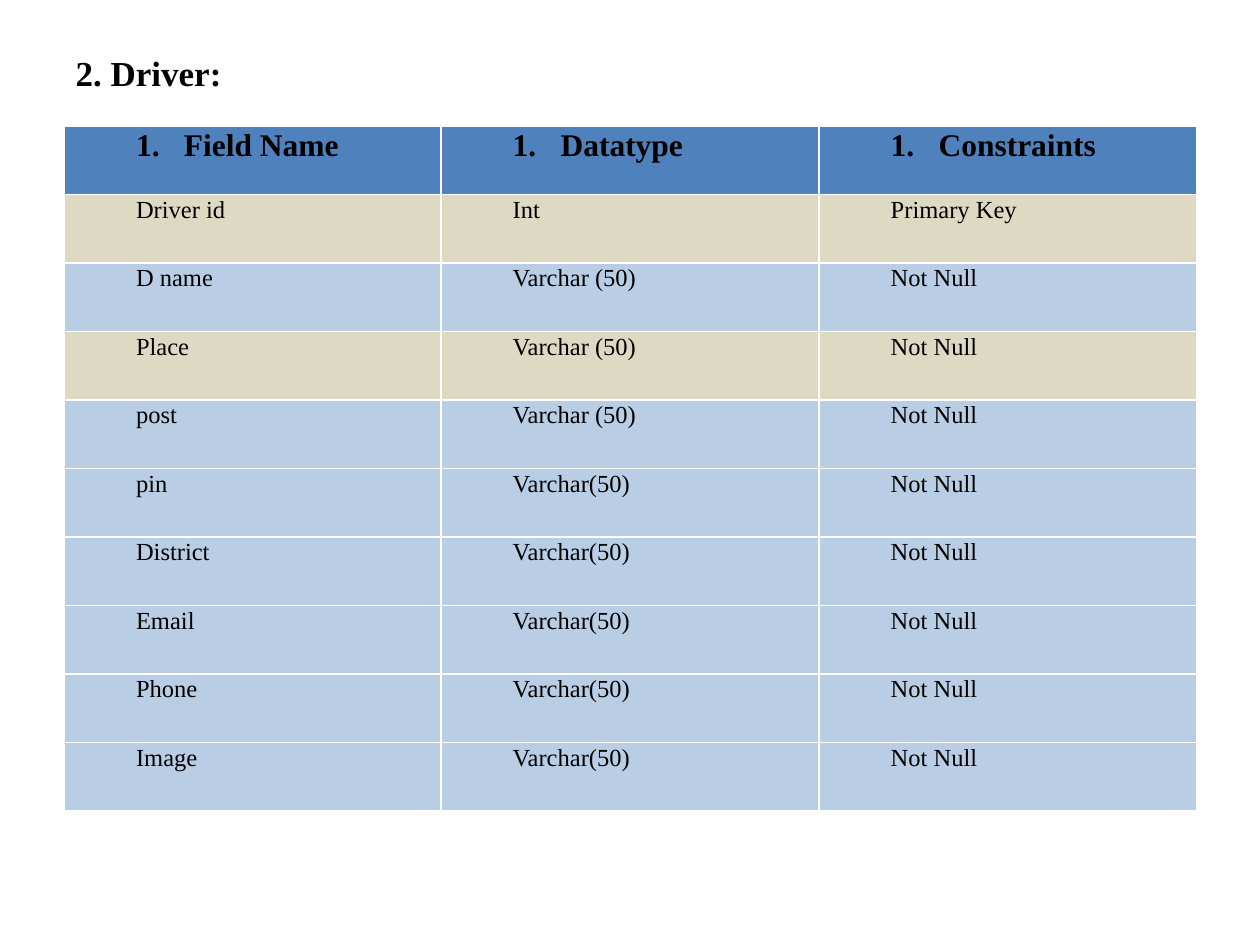
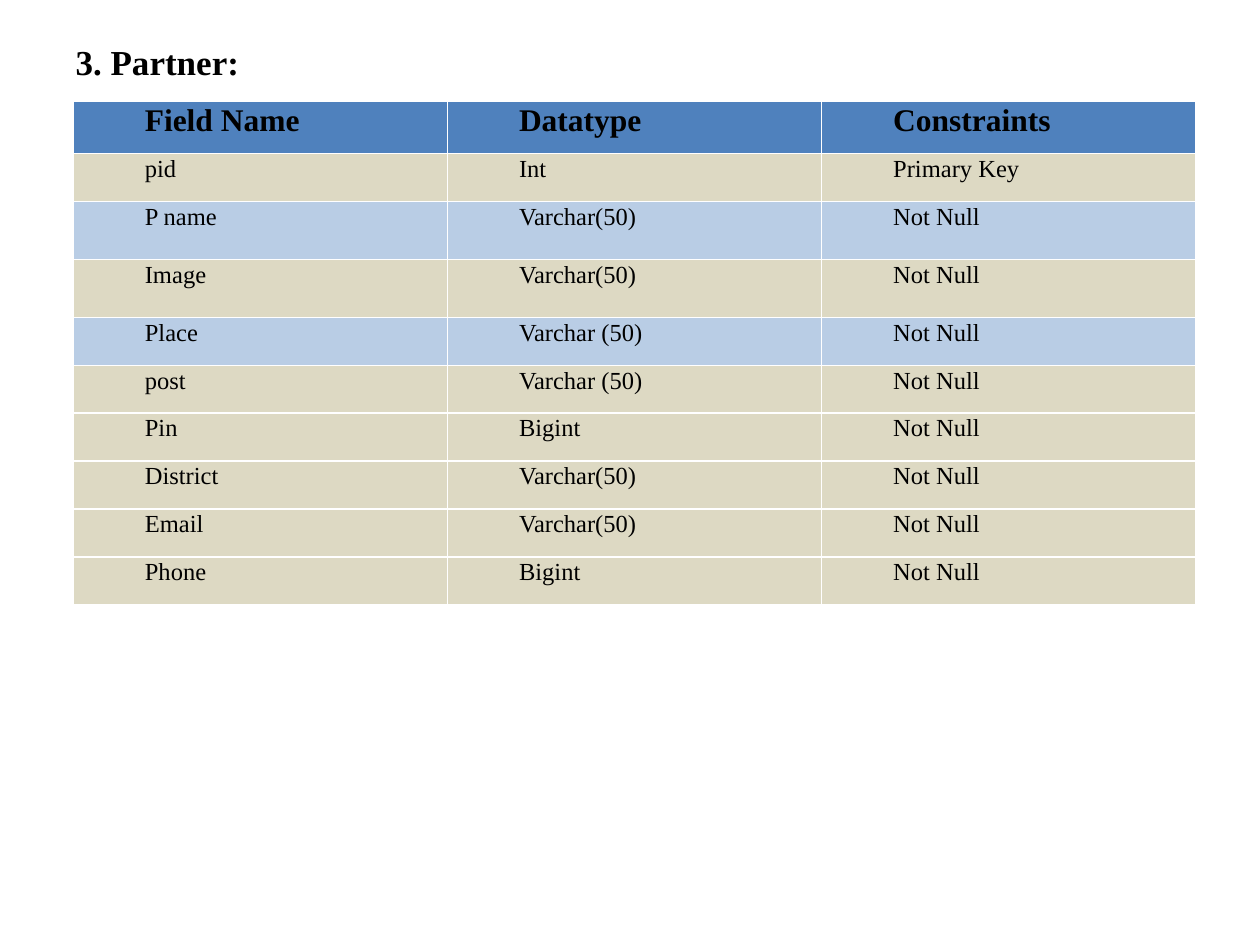
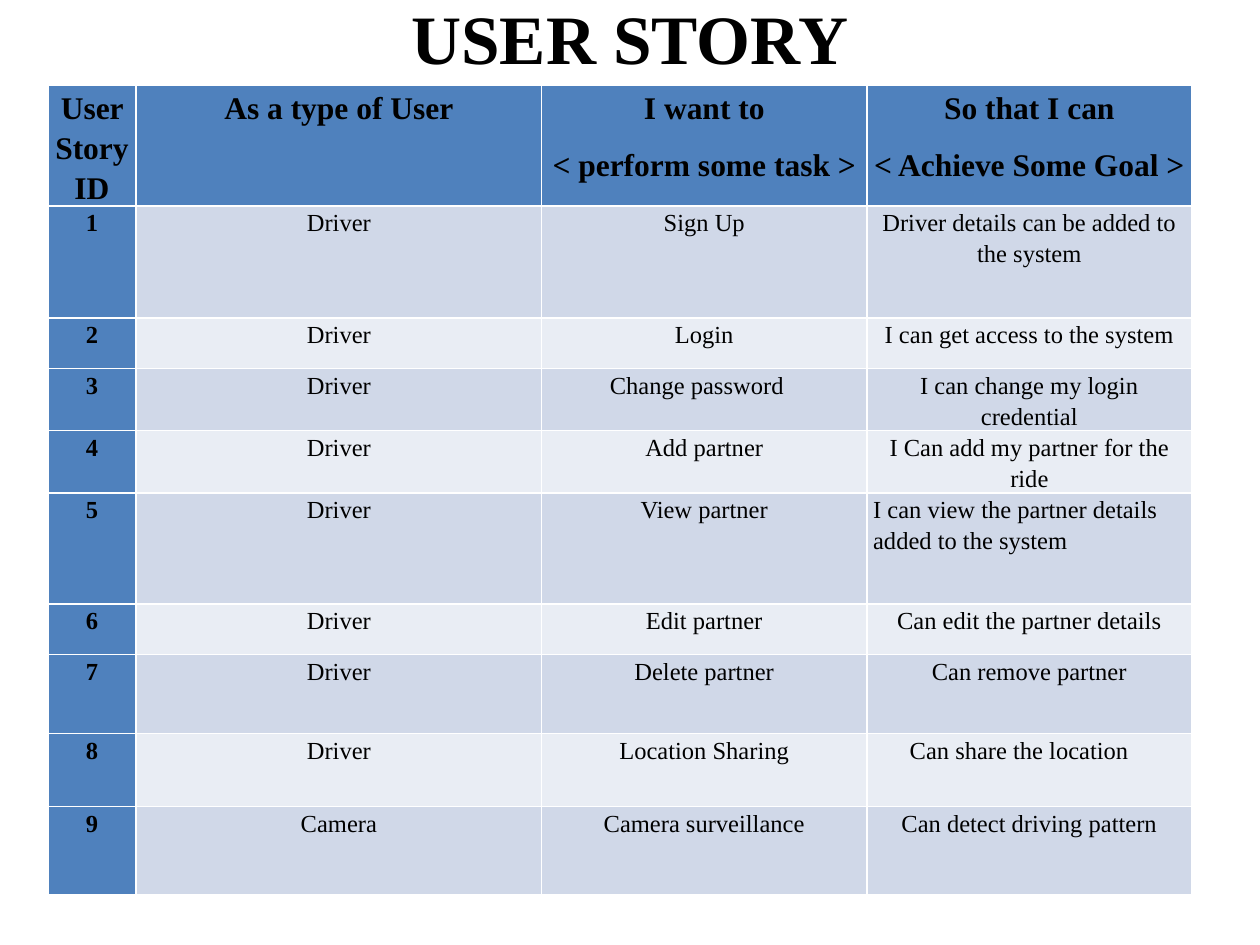
from dataclasses import dataclass

from lxml import etree
from pptx import Presentation
from pptx.dml.color import RGBColor
from pptx.enum.text import MSO_ANCHOR, MSO_AUTO_SIZE, PP_ALIGN
from pptx.oxml.ns import qn
from pptx.util import Inches, Pt

LEFT, CENTER = PP_ALIGN.LEFT, PP_ALIGN.CENTER
TOP, MIDDLE = MSO_ANCHOR.TOP, MSO_ANCHOR.MIDDLE
NO_FIT = MSO_AUTO_SIZE.NONE
TITLE_ONLY = 5


@dataclass(frozen=True)
class Theme:
    font: str = "Times New Roman"
    text: RGBColor = RGBColor(0, 0, 0)
    header: RGBColor = RGBColor(0x4F, 0x81, 0xBD)
    stone: RGBColor = RGBColor(0xDD, 0xD9, 0xC3)
    sky: RGBColor = RGBColor(0xB9, 0xCD, 0xE5)
    band_dark: RGBColor = RGBColor(0xD0, 0xD8, 0xE8)
    band_light: RGBColor = RGBColor(0xE9, 0xED, 0xF4)
    title_size: float = 39.6
    heading_size: float = 20
    header_size: float = 18
    body_size: float = 14


THEME = Theme()

prs = Presentation()
prs.slide_width, prs.slide_height = Inches(10), Inches(7.5)


def style_text(tf, size, bold, align, spacing=1.0, after=0, indent=0):
    for p in tf.paragraphs:
        p.alignment = align
        p.line_spacing = spacing
        p.space_before, p.space_after = Pt(0), Pt(after)
        p._p.get_or_add_pPr().set("marL", str(Inches(indent)))
        for r in p.runs:
            r.font.name, r.font.size, r.font.bold = THEME.font, Pt(size), bold
            r.font.color.rgb = THEME.text


def add_table_slide(title, box, size, align, anchor, origin, widths, heights):
    """Add a slide with a formatted title and an empty table; return the table."""
    s = prs.slides.add_slide(prs.slide_layouts[TITLE_ONLY])
    sp = s.shapes.title
    sp.left, sp.top, sp.width, sp.height = [Inches(v) for v in box]
    tf = sp.text_frame
    tf.text = title
    tf.auto_size, tf.vertical_anchor = NO_FIT, anchor
    style_text(tf, size, True, align)
    table = s.shapes.add_table(len(heights), len(widths), *[Inches(v) for v in origin],
                               Inches(sum(widths)), Inches(sum(heights))).table
    for column, width in zip(table.columns, widths):
        column.width = Inches(width)
    for row, height in zip(table.rows, heights):
        row.height = Inches(height)
    return table


# Database tables
FIELD_HEADER = ("Field Name", "Datatype", "Constraints")
KEY, REQUIRED = "Primary Key", "Not Null"
STONE, SKY = THEME.stone, THEME.sky

entities = [
    dict(title="2. Driver:", title_top=0.36, origin=(0.51, 1), widths=[2.99, 3, 3],
         heights=[5.44 / 10] * 10, numbered=True,
         fills=[STONE, SKY, STONE] + [SKY] * 6,
         fields=[("Driver id", "Int"), ("D name", "Varchar (50)"),
                 ("Place", "Varchar (50)"), ("post", "Varchar (50)"),
                 ("pin", "Varchar(50)"), ("District", "Varchar(50)"),
                 ("Email", "Varchar(50)"), ("Phone", "Varchar(50)"),
                 ("Image", "Varchar(50)")]),
    dict(title="3. Partner:", title_top=0.27, origin=(0.58, 0.8), widths=[2.97] * 3,
         heights=[0.42, 0.38, 0.46, 0.46] + [0.38] * 6, numbered=False,
         fills=[STONE, SKY, STONE, SKY] + [STONE] * 5,
         fields=[("pid", "Int"), ("P name", "Varchar(50)"),
                 ("Image", "Varchar(50)"), ("Place", "Varchar (50)"),
                 ("post", "Varchar (50)"), ("Pin", "Bigint"),
                 ("District", "Varchar(50)"), ("Email", "Varchar(50)"),
                 ("Phone", "Bigint")]),
]

for entity in entities:
    table = add_table_slide(entity["title"], (0.5, entity["title_top"], 9, 0.42),
                            THEME.heading_size, LEFT, TOP,
                            entity["origin"], entity["widths"], entity["heights"])
    rows = [FIELD_HEADER]
    for i, field in enumerate(entity["fields"]):
        rows.append((*field, REQUIRED if i else KEY))
    fills = [THEME.header] + entity["fills"]
    for i, (row, fill) in enumerate(zip(rows, fills)):
        is_header = i == 0
        numbered = is_header and entity["numbered"]
        for j, text in enumerate(row):
            cell = table.cell(i, j)
            cell.fill.solid()
            cell.fill.fore_color.rgb = fill
            cell.margin_left = cell.margin_right = Inches(0.07)
            cell.margin_top = cell.margin_bottom = 0
            tf = cell.text_frame
            tf.text = text
            if numbered:
                pPr = tf.paragraphs[0]._p.get_or_add_pPr()
                pPr.set("indent", str(Inches(-0.38)))
                etree.SubElement(pPr, qn("a:buAutoNum"), type="arabicPeriod")
            style_text(tf, THEME.header_size if is_header else THEME.body_size,
                       is_header, LEFT, 1.07, indent=0.88 if numbered else 0.5)

# User stories
stories = [
    ("User Story ID", "As a type of User", "I want to\n< perform some task >",
     "So that I can\n< Achieve Some Goal >"),
    ("1", "Driver", "Sign Up", "Driver details can be added to the system"),
    ("2", "Driver", "Login", "I can get access to the system"),
    ("3", "Driver", "Change password", "I can change my login credential"),
    ("4", "Driver", "Add partner", "I Can add my partner for the ride"),
    ("5", "Driver", "View partner", "I can view the partner details added to the system"),
    ("6", "Driver", "Edit partner", "Can edit the partner details"),
    ("7", "Driver", "Delete partner", "Can remove partner"),
    ("8", "Driver", "Location Sharing", "Can share the location"),
    ("9", "Camera", "Camera surveillance", "Can detect driving pattern"),
]
# Indents of the left-aligned cells, by row and column; all others are centred
left_indents = {(3, 2): 0.49, (5, 3): 0, (8, 3): 0.29}

table = add_table_slide("USER STORY", (0.5, -0.08, 9, 0.75), THEME.title_size, CENTER,
                        MIDDLE, (0.38, 0.68), [0.7, 3.22, 2.58, 2.58],
                        [0.95, 0.89, 0.4, 0.49, 0.49, 0.88, 0.4, 0.63, 0.58, 0.7])
table.first_col = True
for i, story in enumerate(stories):
    for j, text in enumerate(story):
        is_header = i == 0 or j == 0
        band = THEME.band_dark if i % 2 else THEME.band_light
        cell = table.cell(i, j)
        cell.fill.solid()
        cell.fill.fore_color.rgb = THEME.header if is_header else band
        cell.margin_left = cell.margin_right = Inches(0.05)
        cell.margin_top = cell.margin_bottom = 0
        cell.text_frame.text = text
        style_text(cell.text_frame, THEME.body_size if i else THEME.header_size, is_header,
                   LEFT if (i, j) in left_indents else CENTER, 1.15, after=10,
                   indent=left_indents.get((i, j), 0))

prs.save("out.pptx")
